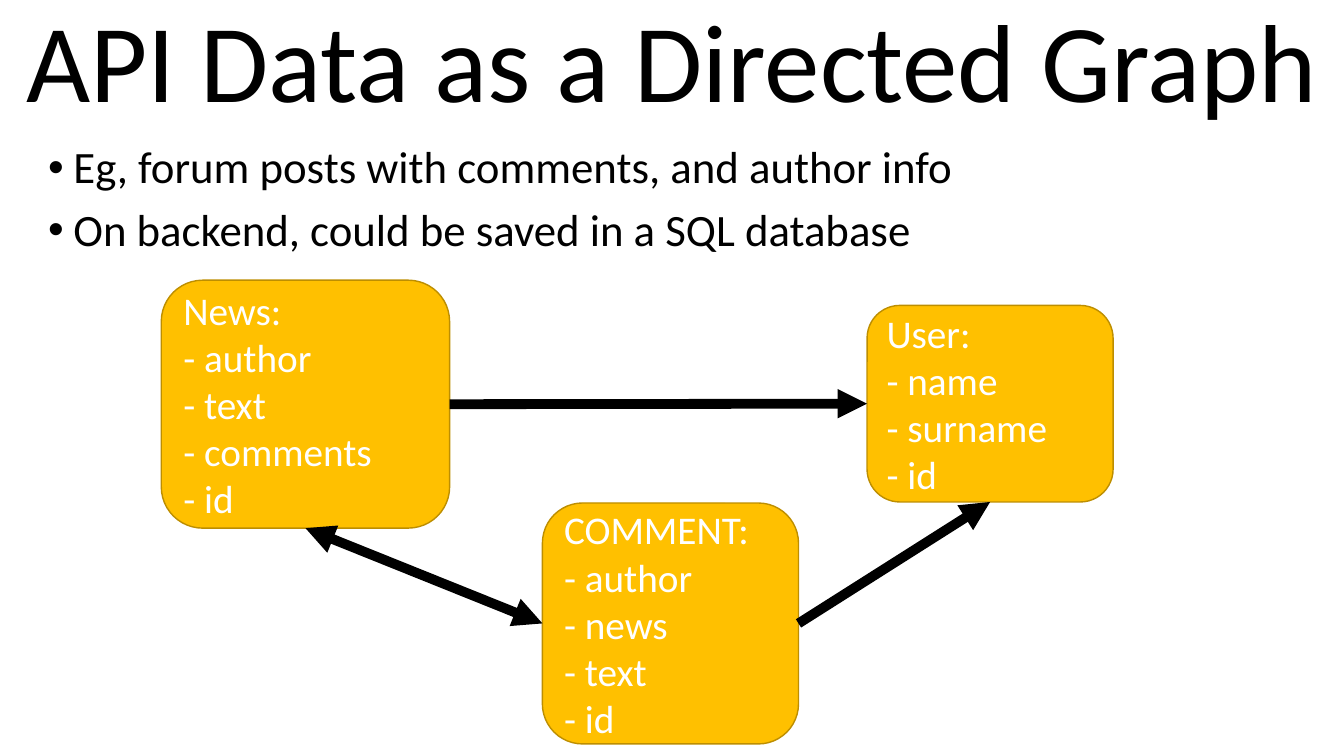
from dataclasses import dataclass

from lxml.etree import SubElement
from pptx import Presentation
from pptx.dml.color import RGBColor
from pptx.enum.shapes import MSO_CONNECTOR as CONN, MSO_SHAPE as SHAPE
from pptx.enum.text import MSO_ANCHOR as ANCHOR, PP_ALIGN as ALIGN
from pptx.oxml.ns import qn
from pptx.util import Inches, Pt

FONT = "Calibri"
BLACK, WHITE, AMBER, BROWN = "000000", "FFFFFF", "FFC000", "BD8E00"
TOP, LEFT, BOTTOM, RIGHT = range(4)  # connection sites of a rectangle


@dataclass
class Entity:
    name: str
    fields: list[str]
    box: tuple[float, float, float, float]


@dataclass
class Relation:
    source: str
    source_site: int
    target: str
    target_site: int
    two_way: bool = False


ENTITIES = [
    Entity("News", ["author", "text", "comments", "id"], (1.6, 2.78, 2.86, 2.46)),
    Entity("COMMENT", ["author", "news", "text", "id"], (5.38, 4.99, 2.54, 2.39)),
    Entity("User", ["name", "surname", "id"], (8.6, 3.03, 2.44, 1.95)),
]
RELATIONS = [
    Relation("News", RIGHT, "User", LEFT),
    Relation("News", BOTTOM, "COMMENT", LEFT, two_way=True),
    Relation("COMMENT", RIGHT, "User", BOTTOM),
]
BULLETS = [
    "Eg, forum posts with comments, and author info",
    "On backend, could be saved in a SQL database",
]


def rgb(color: str) -> RGBColor:
    return RGBColor.from_string(color)


def write_lines(sp, lines: list[str], size: float, color: str, anchor) -> list:
    """Fill a shape with one paragraph per line and return the paragraphs."""
    tf = sp.text_frame
    tf.word_wrap = True
    tf.vertical_anchor = anchor
    for i, line in enumerate(lines):
        p = tf.add_paragraph() if i else tf.paragraphs[0]
        p.alignment = ALIGN.LEFT
        r = p.add_run()
        r.text = line
        r.font.name = FONT
        r.font.size = Pt(size)
        r.font.color.rgb = rgb(color)
    return list(tf.paragraphs)


def add_text(s, box: tuple, lines: list[str], size: float, anchor) -> list:
    sp = s.shapes.add_textbox(*map(Inches, box))
    paragraphs = write_lines(sp, lines, size, BLACK, anchor)
    for p in paragraphs:
        p.line_spacing = 0.9
    return paragraphs


def add_bullet(p) -> None:
    p.space_before = Pt(10)
    pPr = p._p.get_or_add_pPr()
    pPr.set("marL", str(Inches(0.25)))
    pPr.set("indent", str(Inches(-0.25)))
    SubElement(pPr, qn("a:buFont"), typeface="Arial")
    SubElement(pPr, qn("a:buChar"), char="•")


def add_entity(s, entity: Entity):
    sp = s.shapes.add_shape(SHAPE.ROUNDED_RECTANGLE, *map(Inches, entity.box))
    sp.shadow.inherit = False
    sp.fill.solid()
    sp.fill.fore_color.rgb = rgb(AMBER)
    sp.line.color.rgb = rgb(BROWN)
    sp.line.width = Pt(1)
    lines = [f"{entity.name}:"] + [f"- {field}" for field in entity.fields]
    write_lines(sp, lines, 28, WHITE, ANCHOR.MIDDLE)
    return sp


def add_relation(s, relation: Relation, boxes: dict) -> None:
    line = s.shapes.add_connector(CONN.STRAIGHT, 0, 0, 0, 0)
    line.begin_connect(boxes[relation.source], relation.source_site)
    line.end_connect(boxes[relation.target], relation.target_site)
    line.line.color.rgb = rgb(BLACK)
    line.line.width = Pt(7)
    ln = line.line._get_or_add_ln()
    if relation.two_way:
        SubElement(ln, qn("a:headEnd"), type="triangle")
    SubElement(ln, qn("a:tailEnd"), type="triangle")
    SubElement(line._element.spPr, qn("a:effectLst"))


def main() -> None:
    prs = Presentation()
    prs.slide_width, prs.slide_height = Inches(13.33), Inches(7.5)
    s = prs.slides.add_slide(prs.slide_layouts[6])

    # Title and bullets
    add_text(s, (0.16, 0.03, 13.06, 1.26), ["API Data as a Directed Graph"],
             79.2, ANCHOR.MIDDLE)
    for p in add_text(s, (0.38, 1.39, 12.84, 1.33), BULLETS, 32, ANCHOR.TOP):
        add_bullet(p)

    # Graph: nodes, then the arrows between them
    boxes = {entity.name: add_entity(s, entity) for entity in ENTITIES}
    for relation in RELATIONS:
        add_relation(s, relation, boxes)

    prs.save("out.pptx")


if __name__ == "__main__":
    main()
